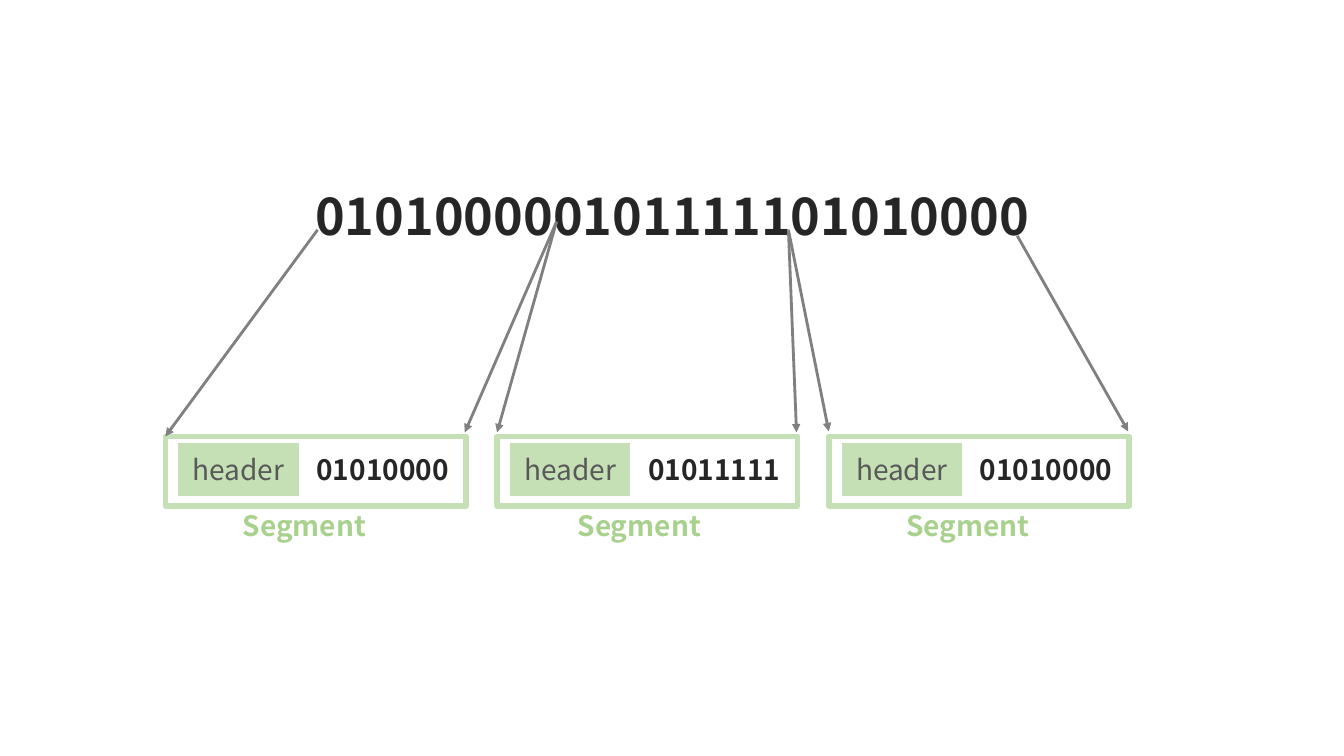
"""Builds a slide showing a bit stream split into segments with headers."""
from lxml import etree
from pptx import Presentation
from pptx.dml.color import RGBColor
from pptx.enum.shapes import MSO_CONNECTOR, MSO_SHAPE
from pptx.enum.text import MSO_ANCHOR, PP_ALIGN
from pptx.oxml.ns import qn
from pptx.util import Inches, Pt

RECT = MSO_SHAPE.RECTANGLE
STRAIGHT = MSO_CONNECTOR.STRAIGHT
MIDDLE = MSO_ANCHOR.MIDDLE
LEFT, CENTER = PP_ALIGN.LEFT, PP_ALIGN.CENTER
FONT = "Noto Sans CJK KR"
COLORS = {
    "frame": "C5E0B4",
    "label": "A9D18E",
    "header": "595959",
    "bits": "262626",
    "arrow": "808080",
    "white": "FFFFFF",
}
FIRST_LEFT, SEGMENT_STEP = 1.64, 3.29
SEGMENTS = [("01010000", 2.31), ("01011111", 5.63), ("01010000", 8.89)]
ARROWS = [
    ((3.15, 2.28), (1.64, 4.33)),
    ((5.52, 2.2), (4.61, 4.29)),
    ((5.52, 2.2), (4.93, 4.29)),
    ((7.82, 2.28), (7.9, 4.29)),
    ((7.82, 2.28), (8.22, 4.28)),
    ((10.09, 2.34), (11.19, 4.28)),
]


def rgb(name):
    return RGBColor.from_string(COLORS[name])


def write(shape, text, color, size=20, bold=True, align=CENTER):
    tf = shape.text_frame
    tf.word_wrap = True
    tf.vertical_anchor = MIDDLE
    p = tf.paragraphs[0]
    p.text = text
    p.alignment = align
    p.font.name = FONT
    p.font.size = Pt(size)
    p.font.bold = bold
    p.font.color.rgb = rgb(color)


def add_text(s, box, text, color, **style):
    write(s.shapes.add_textbox(*map(Inches, box)), text, color, **style)


def add_rect(s, box, line, width, fill=None):
    sp = s.shapes.add_shape(RECT, *map(Inches, box))
    sp.shadow.inherit = False
    if fill:
        sp.fill.solid()
        sp.fill.fore_color.rgb = rgb(fill)
    else:
        sp.fill.background()
    sp.line.color.rgb = rgb(line)
    sp.line.width = Pt(width)
    return sp


def add_segment(s, left, bits, label_left):
    add_rect(s, (left, 4.33, 2.98, 0.69), "frame", 4)
    header = add_rect(s, (left + 0.12, 4.39, 1.21, 0.54), "white", 1, "frame")
    write(header, "header", "header", bold=False)
    add_text(s, (left + 1.33, 4.45, 1.65, 0.41), bits, "bits")
    add_text(s, (label_left, 4.92, 1.87, 0.58), "Segment", "label", align=LEFT)


def add_arrow(s, start, end):
    arrow = s.shapes.add_connector(STRAIGHT, *map(Inches, start + end))
    arrow.line.color.rgb = rgb("arrow")
    arrow.line.width = Pt(2)
    etree.SubElement(arrow.line._get_or_add_ln(), qn("a:tailEnd"), type="triangle")
    etree.SubElement(arrow._element.spPr, qn("a:effectLst"))


def main():
    prs = Presentation()
    prs.slide_width, prs.slide_height = Inches(13.33), Inches(7.5)
    s = prs.slides.add_slide(prs.slide_layouts[6])
    add_text(s, (2.92, 1.79, 7.49, 0.69), "010100000101111101010000", "bits", size=36)
    for i, (bits, label_left) in enumerate(SEGMENTS):
        add_segment(s, FIRST_LEFT + i * SEGMENT_STEP, bits, label_left)
    for start, end in ARROWS:
        add_arrow(s, start, end)
    prs.save("out.pptx")


if __name__ == "__main__":
    main()
